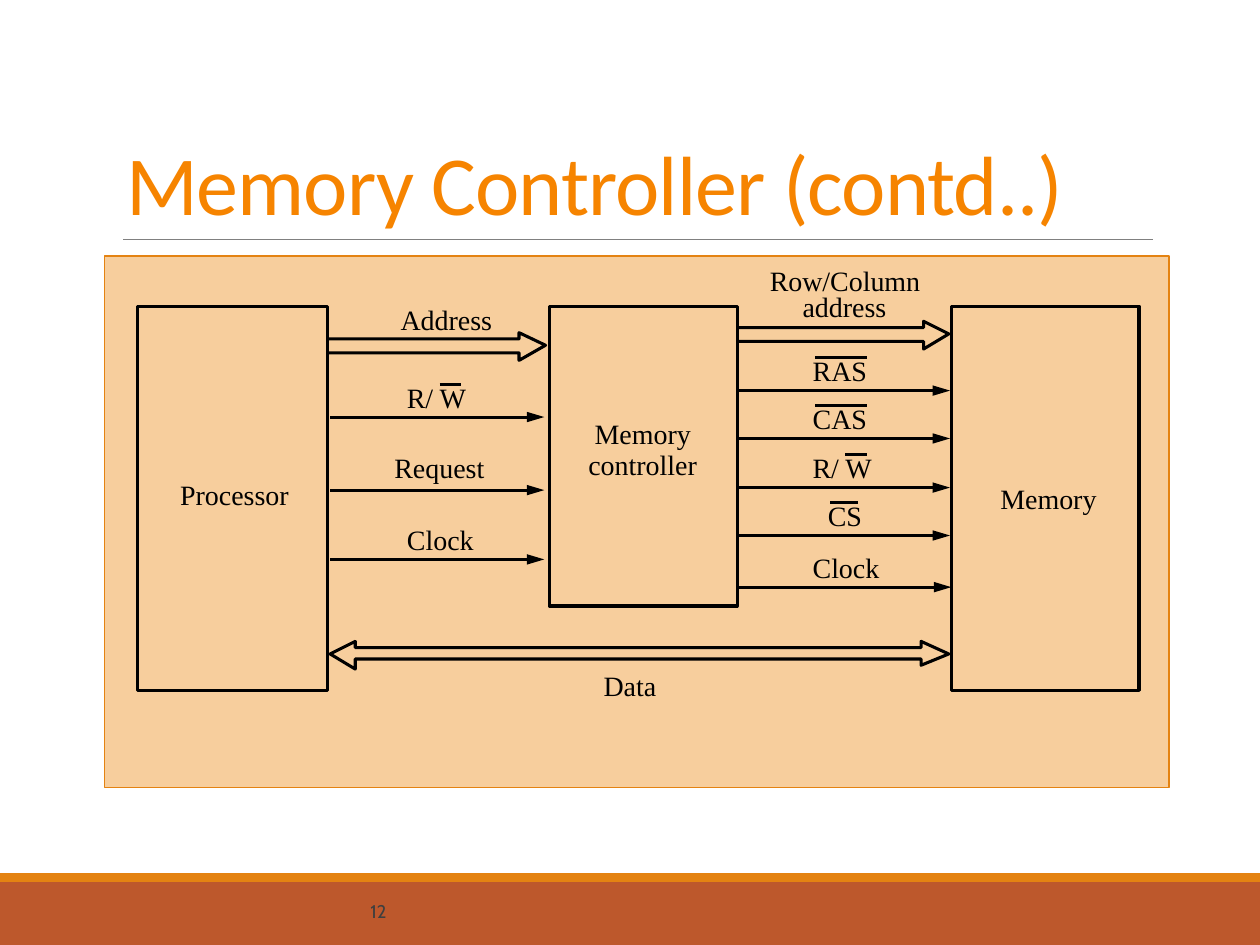
from pptx import Presentation
from pptx.dml.color import RGBColor
from pptx.enum.shapes import MSO_CONNECTOR, MSO_SHAPE
from pptx.enum.text import MSO_ANCHOR, MSO_AUTO_SIZE, PP_ALIGN
from pptx.oxml.ns import qn
from pptx.util import Inches, Pt
from lxml import etree

RECTANGLE = MSO_SHAPE.RECTANGLE
STRAIGHT = MSO_CONNECTOR.STRAIGHT
BOTTOM, MIDDLE, TOP = MSO_ANCHOR.BOTTOM, MSO_ANCHOR.MIDDLE, MSO_ANCHOR.TOP
LEFT = PP_ALIGN.LEFT
NO_FIT, GROW = MSO_AUTO_SIZE.NONE, MSO_AUTO_SIZE.SHAPE_TO_FIT_TEXT

BLACK = "000000"
STROKE = 1.75
LABEL_HEIGHT = 0.27
LABEL_RISE = 0.29      # label top above its signal line
OVERLINE_RISE = 0.26   # overline above its signal line

LABEL_FONT = {"name": "Times New Roman", "size": Pt(16)}
TITLE_FONT = {"name": "Calibri", "size": Pt(48)}
NUMBER_FONT = {"name": "Cabin", "size": Pt(10.5)}

# Outlined blocks: left, top, width, height
BLOCKS = [(1.09, 2.43, 1.51, 3.05), (7.55, 2.43, 1.49, 3.05), (4.36, 2.43, 1.49, 2.38)]

# Labels that stand alone: text, left, top, width
LABELS = [
    ("Processor", 1.43, 3.79, 0.87),
    ("Memory", 4.72, 3.31, 0.77),
    ("controller", 4.67, 3.55, 0.87),
    ("Memory", 7.94, 3.82, 0.77),
    ("Address", 3.18, 2.4, 0.73),
    ("Request", 3.13, 3.58, 0.72),
    ("Row/Column", 6.11, 2.09, 1.2),
    ("address", 6.37, 2.3, 0.67),
    ("Data", 4.79, 5.31, 0.42),
]

# Signals: text, line start, line end, line y, label left, label width, overline span
SIGNALS = [
    ("R/ W", 2.62, 4.32, 3.31, 3.23, 0.5, (3.49, 3.66)),
    ("Clock", 2.62, 4.32, 4.44, 3.23, 0.55, None),
    ("RAS", 5.85, 7.54, 3.1, 6.45, 0.48, (6.47, 6.88)),
    ("CAS", 5.85, 7.54, 3.48, 6.45, 0.48, (6.47, 6.88)),
    ("R/ W", 5.85, 7.54, 3.87, 6.45, 0.5, (6.71, 6.88)),
    ("CS", 5.85, 7.54, 4.25, 6.57, 0.32, (6.59, 6.81)),
    ("Clock", 5.85, 7.55, 4.66, 6.45, 0.55, None),
]


def color(value):
    return RGBColor.from_string(value)


def apply_format(target, values):
    for name, value in values.items():
        setattr(target, name, value)


def style_text(shape, text, font, text_color, anchor, side, edge, fit, wrap):
    frame = shape.text_frame
    apply_format(frame, {
        "text": text, "vertical_anchor": anchor, "auto_size": fit, "word_wrap": wrap,
        "margin_left": Inches(side), "margin_right": Inches(side),
        "margin_top": Inches(edge), "margin_bottom": Inches(edge),
    })
    para = frame.paragraphs[0]
    para.alignment = LEFT
    span = para.runs[0]
    apply_format(span.font, font)
    span.font.color.rgb = color(text_color)
    return para


def add_title(page, text):
    title = page.shapes.title
    apply_format(title, {"left": Inches(0.9), "top": Inches(0.31),
                         "width": Inches(8.25), "height": Inches(1.59)})
    para = style_text(title, text, TITLE_FONT, "F68400", BOTTOM, 0.1, 0.05, NO_FIT, True)
    para.line_spacing = 0.85
    para.runs[0].font._element.set("spc", "-50")


def add_label(page, text, left, top, width):
    box = page.shapes.add_textbox(Inches(left), Inches(top), Inches(width), Inches(LABEL_HEIGHT))
    style_text(box, text, LABEL_FONT, BLACK, TOP, 0, 0, GROW, False)


def add_page_number(page, text):
    box = page.shapes.add_textbox(Inches(2.89), Inches(7.08), Inches(6.02), Inches(0.3))
    style_text(box, text, NUMBER_FONT, "3F3F3F", MIDDLE, 0.05, 0.05, NO_FIT, True)


def style_shape(shape, fill=None, line=None, weight=STROKE):
    shape.shadow.inherit = False
    if fill:
        shape.fill.solid()
        shape.fill.fore_color.rgb = color(fill)
    else:
        shape.fill.background()
    if line:
        shape.line.color.rgb = color(line)
        shape.line.width = Pt(weight)
    else:
        shape.line.fill.background()


def add_rectangle(page, bounds, **style):
    shape = page.shapes.add_shape(RECTANGLE, *map(Inches, bounds))
    style_shape(shape, **style)


def add_line(page, start, end, y, line=BLACK, weight=STROKE, arrow=False):
    connector = page.shapes.add_connector(
        STRAIGHT, Inches(start), Inches(y), Inches(end), Inches(y))
    connector.line.color.rgb = color(line)
    connector.line.width = Pt(weight)
    if arrow:
        etree.SubElement(connector.line._get_or_add_ln(), qn("a:tailEnd"),
                         type="triangle", w="med", len="lg")
    etree.SubElement(connector._element.spPr, qn("a:effectLst"))


def add_outline(page, points, close):
    corners = [(Inches(x), Inches(y)) for x, y in points]
    builder = page.shapes.build_freeform(*corners[0])
    builder.add_line_segments(corners[1:], close=close)
    style_shape(builder.convert_to_shape(), line=BLACK)


def add_bus_arrow(page, start, neck, tip, top):
    add_outline(page, [
        (start, top + 0.16), (neck, top + 0.16), (neck, top + 0.22), (tip, top + 0.1),
        (neck, top), (neck, top + 0.05), (start, top + 0.05),
    ], close=False)


def add_data_arrow(page):
    add_outline(page, [
        (2.62, 5.19), (2.82, 5.09), (2.82, 5.14), (7.31, 5.14), (7.31, 5.09),
        (7.53, 5.19), (7.31, 5.28), (7.31, 5.23), (2.82, 5.23), (2.82, 5.31),
    ], close=True)


def add_signal(page, text, start, end, y, label_left, label_width, overline):
    add_line(page, start, end, y, arrow=True)
    add_label(page, text, label_left, y - LABEL_RISE, label_width)
    if overline:
        add_line(page, *overline, y - OVERLINE_RISE)


def main():
    deck = Presentation()
    deck.slide_width, deck.slide_height = Inches(10), Inches(7.5)
    page = deck.slides.add_slide(deck.slide_layouts[5])

    # Page frame
    add_rectangle(page, (0, 7, 10, 0.5), fill="BD582C")
    add_rectangle(page, (0, 6.93, 10, 0.07), fill="E48312")
    add_line(page, 0.98, 9.15, 1.9, line="808080", weight=0.5)
    add_title(page, "Memory Controller (contd..)")
    add_page_number(page, "12")

    # Diagram panel and blocks
    add_rectangle(page, (0.83, 2.03, 8.45, 4.22), fill="F7CE9D", line="E48312", weight=1)
    for bounds in BLOCKS:
        add_rectangle(page, bounds, line=BLACK)

    # Buses
    add_bus_arrow(page, 2.6, 4.12, 4.33, 2.64)
    add_bus_arrow(page, 5.85, 7.33, 7.53, 2.55)
    add_data_arrow(page)

    # Signals and labels; the request label sits a little higher than the rest
    add_line(page, 2.62, 4.32, 3.89, arrow=True)
    for signal in SIGNALS:
        add_signal(page, *signal)
    for label in LABELS:
        add_label(page, *label)

    deck.save("out.pptx")


if __name__ == "__main__":
    main()
